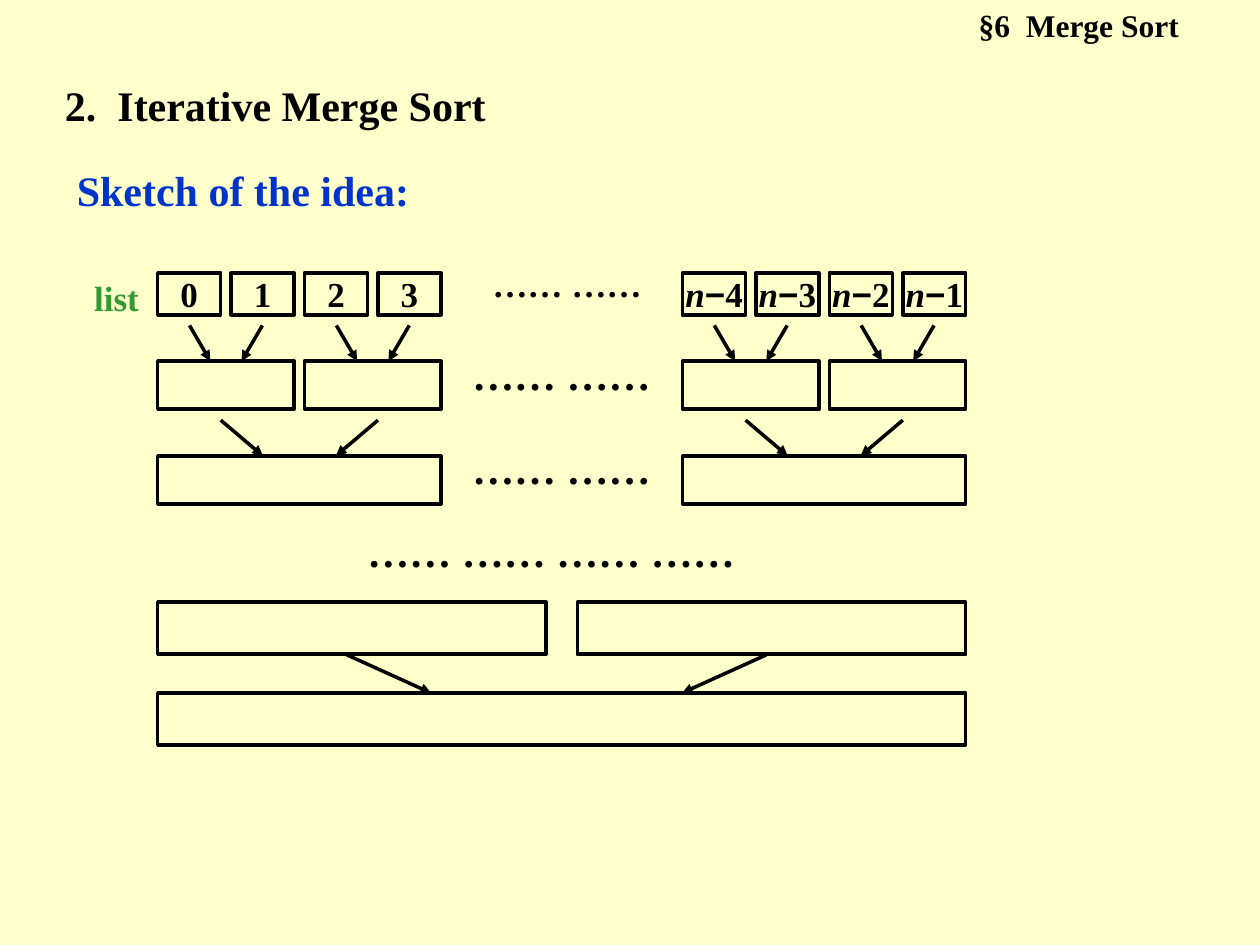
"""Draw the slide on iterative merge sort."""
from lxml.etree import SubElement
from pptx import Presentation
from pptx.dml.color import RGBColor
from pptx.enum.shapes import MSO_CONNECTOR, MSO_SHAPE
from pptx.enum.text import MSO_ANCHOR, PP_ALIGN
from pptx.oxml.ns import qn
from pptx.util import Cm, Pt

BLACK = RGBColor(0x00, 0x00, 0x00)
BLUE = RGBColor(0x00, 0x33, 0xCC)
GREEN = RGBColor(0x33, 0x99, 0x33)
CREAM = RGBColor(0xFF, 0xFF, 0xCC)
SERIF = "Times New Roman"
SANS = "Arial"

HEADS = [
    ("§6  Merge Sort", 19.48, 0, 5.92, 1.02, 18, BLACK, PP_ALIGN.LEFT, 0.25),
    ("2.  Iterative Merge Sort", 1.06, 1.48, 9.95, 1.27, 24, BLACK, PP_ALIGN.LEFT, 0.25),
    ("Sketch of the idea:", 1.54, 3.18, 6.72, 1.27, 24, BLUE, PP_ALIGN.CENTER, 0),
]
LABELS = [
    ("list", 1.7, 5.5, 1.3, 1, 20, GREEN),
    ("…… ……", 9.32, 5.29, 4.23, 0.85, 20, BLACK),
    ("…… ……", 9.1, 7.04, 4.44, 0.97, 24, BLACK),
    ("…… ……", 9.1, 8.94, 4.44, 0.97, 24, BLACK),
    ("…… …… …… ……", 5.29, 10.58, 11.64, 1.05, 24, BLACK),
]
CELLS = [["0", "1", "2", "3"], ["n−4", "n−3", "n−2", "n−1"]]

LEFT, RIGHT = 3.18, 13.76
HALF, GAP = 5.71, 0.21
FULL = RIGHT + HALF - LEFT
ROWS = [(4, 5.5, 0.85), (2, 7.28, 0.97), (1, 9.19, 0.97)]
MERGES = [(2, 6.56, 7.28, 0.64, 1.06), (1, 8.47, 9.19, 1.27, 2.12)]
RUNS = [(LEFT, 12.14, 7.83, 1.05), (11.64, 12.14, 7.83, 1.05), (LEFT, 13.97, FULL, 1.05)]
LAST = (LEFT, 16.08, 13.2, 13.97, 3.81, 5.51)


def split(start, count):
    """Return the left edges and the width of equal boxes in one half."""
    wide = (HALF - GAP * (count - 1)) / count
    return [start + i * (wide + GAP) for i in range(count)], wide


def write(shape, text, size, color, align=PP_ALIGN.CENTER, inset=0, wrap=False):
    """Put one styled line of text in a shape."""
    frame = shape.text_frame
    frame.word_wrap = wrap
    frame.margin_left = frame.margin_right = Cm(inset)
    frame.margin_top = frame.margin_bottom = Cm(0.13)
    frame.vertical_anchor = MSO_ANCHOR.TOP if wrap else MSO_ANCHOR.MIDDLE
    para = frame.paragraphs[0]
    para.alignment = align
    font = para.font
    font.size, font.bold, font.color.rgb = Pt(size), True, color
    if text.startswith("n"):
        for part, name in zip(text, (SERIF, SANS, SERIF)):
            run = para.add_run()
            run.text, run.font.name = part, name
            run.font.italic = part == "n"
    else:
        font.name = SERIF
        para.add_run().text = text


def label(shapes, text, x, y, w, h, *style):
    """Add a text box."""
    write(shapes.add_textbox(Cm(x), Cm(y), Cm(w), Cm(h)), text, *style)


def block(shapes, x, y, w, h):
    """Add an outlined box."""
    box = shapes.add_shape(MSO_SHAPE.RECTANGLE, Cm(x), Cm(y), Cm(w), Cm(h))
    box.shadow.inherit = False
    box.fill.background()
    box.line.color.rgb, box.line.width = BLACK, Pt(2)
    return box


def merge(shapes, x, w, top, low, start, end):
    """Add a mirrored pair of arrows over a span."""
    for tail, tip in ((x + start, x + end), (x + w - start, x + w - end)):
        line = shapes.add_connector(
            MSO_CONNECTOR.STRAIGHT, Cm(tail), Cm(top), Cm(tip), Cm(low))
        line.line.color.rgb, line.line.width = BLACK, Pt(2)
        SubElement(line.line._get_or_add_ln(), qn("a:tailEnd"), type="triangle")
        SubElement(line._element.spPr, qn("a:effectLst"))


def main():
    """Build and save the slide."""
    deck = Presentation()
    deck.slide_width, deck.slide_height = Cm(25.4), Cm(19.05)
    slide = deck.slides.add_slide(deck.slide_layouts[6])
    slide.background.fill.solid()
    slide.background.fill.fore_color.rgb = CREAM
    shapes = slide.shapes
    for head in HEADS:
        label(shapes, *head, True)
    for item in LABELS:
        label(shapes, *item)
    for start, names in zip((LEFT, RIGHT), CELLS):
        for count, y, h in ROWS:
            edges, wide = split(start, count)
            boxes = [block(shapes, x, y, wide, h) for x in edges]
            if count == len(names):
                for box, name in zip(boxes, names):
                    write(box, name, 20, BLACK)
        for count, *arrow in MERGES:
            edges, wide = split(start, count)
            for x in edges:
                merge(shapes, x, wide, *arrow)
    for run in RUNS:
        block(shapes, *run)
    merge(shapes, *LAST)
    deck.save("out.pptx")


if __name__ == "__main__":
    main()
